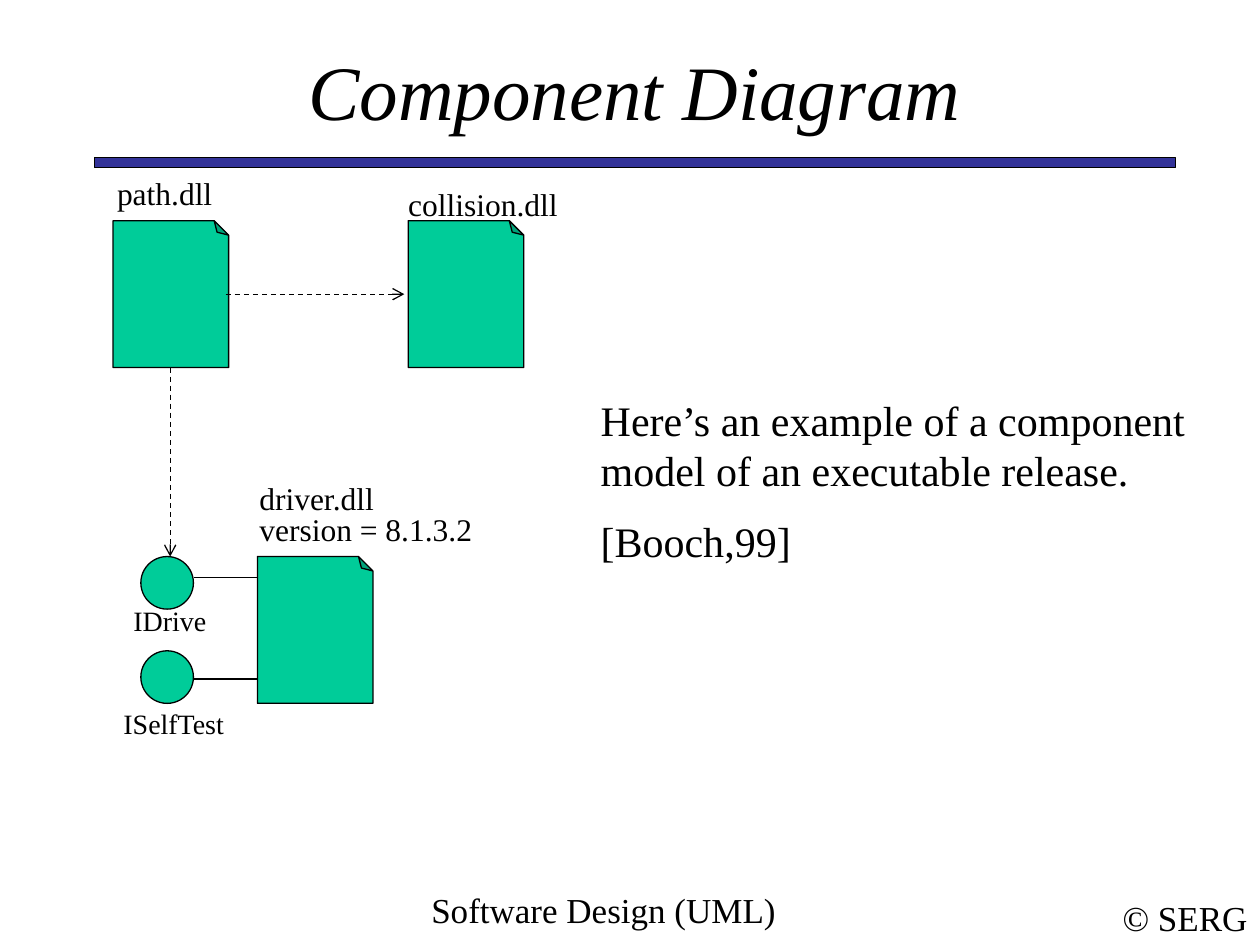
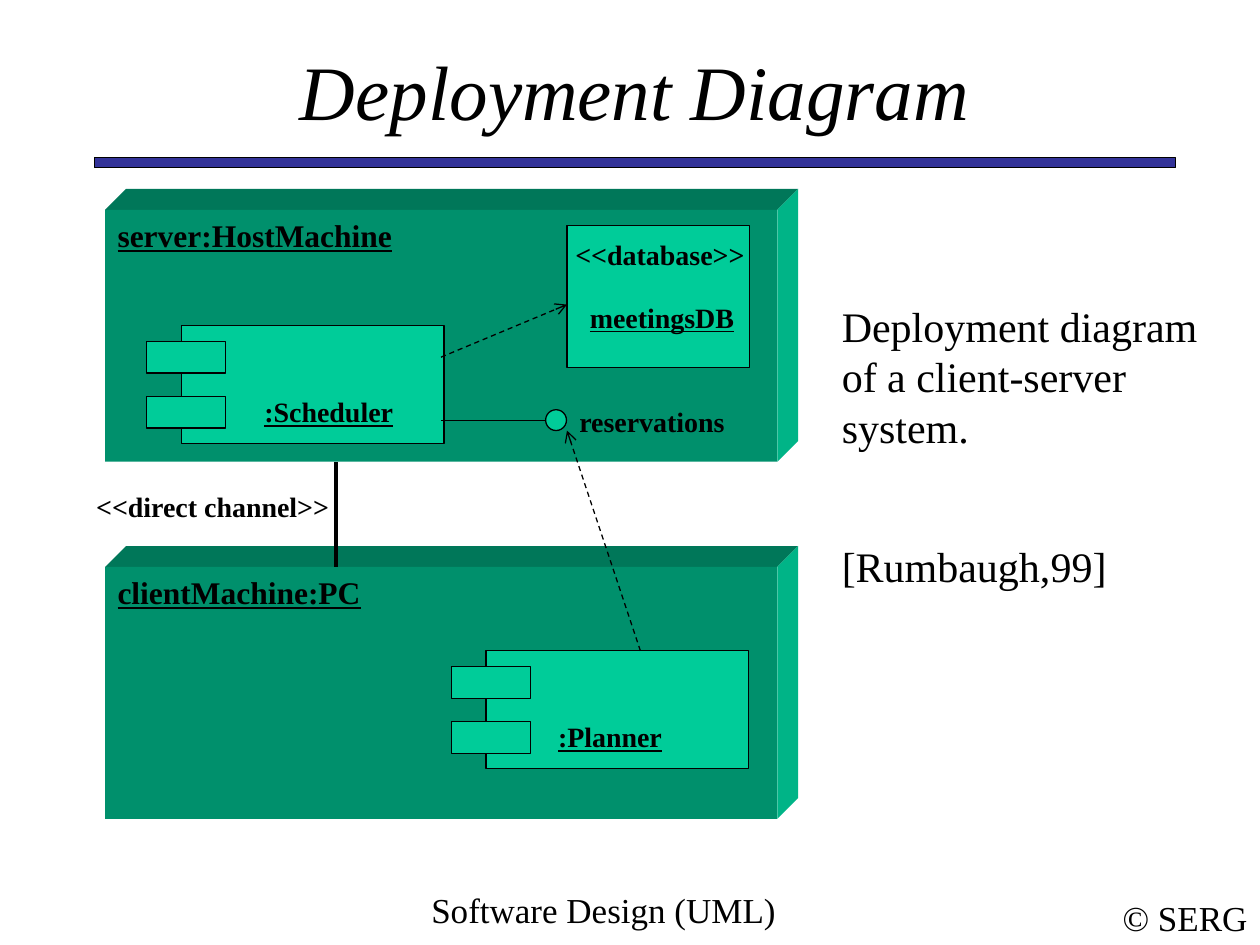
from lxml import etree
from pptx import Presentation
from pptx import util as u
from pptx.dml.color import RGBColor
from pptx.enum import dml, shapes, text
from pptx.oxml import ns

INK, GREEN, BAND = "000000", "00CC99", "333399"
FRONT, TOP, SIDE = "00906C", "007759", "00B487"
FONT = "Times New Roman"
KIND = shapes.MSO_SHAPE
CENTER, LEFT = text.PP_ALIGN.CENTER, text.PP_ALIGN.LEFT


def color(value):
    return RGBColor.from_string(value)


class Deck:
    def __init__(self):
        self.show = Presentation()
        self.show.slide_width, self.show.slide_height = u.Cm(25.4), u.Cm(19.05)
        self.slide = None

    def page(self, title):
        self.slide = self.show.slides.add_slide(self.show.slide_layouts[6])
        self.label("© SERG", 22.38, 17.96, 3.02, 20, height=1.09, align=CENTER,
                   wrap=False, middle=True)
        self.shape(KIND.RECTANGLE, 1.9, 3.18, 21.8, 0.2, BAND)
        self.label("Software Design (UML)", 6.56, 17.78, 11.22, 20,
                   height=1.27, align=CENTER)
        self.label(title, 1.9, 1.06, 21.8, 44, height=1.48, align=CENTER,
                   middle=True, italic=True)

    def label(self, words, left, top, width, size=18, height=1.0, align=LEFT,
              wrap=True, middle=False, bold=False, italic=False,
              underline=False, gap=12):
        box = self.slide.shapes.add_textbox(
            u.Cm(left), u.Cm(top), u.Cm(width), u.Cm(height))
        frame = box.text_frame
        frame.word_wrap = wrap
        frame.text = words
        frame.vertical_anchor = (text.MSO_ANCHOR.MIDDLE if middle
                                 else text.MSO_ANCHOR.TOP)
        for index, paragraph in enumerate(frame.paragraphs):
            paragraph.alignment = align
            if index:
                paragraph.space_before = u.Pt(gap)
            font = paragraph.font
            font.name, font.size = FONT, u.Pt(size)
            font.bold, font.italic, font.underline = bold, italic, underline
            font.color.rgb = color(INK)

    def paint(self, item, fill, outlined=True):
        item.shadow.inherit = False
        item.fill.solid()
        item.fill.fore_color.rgb = color(fill)
        if outlined:
            item.line.color.rgb = color(INK)
            item.line.width = u.Pt(0.75)
        else:
            item.line.fill.background()

    def shape(self, kind, left, top, width, height, fill=GREEN, outlined=True):
        item = self.slide.shapes.add_shape(
            kind, u.Cm(left), u.Cm(top), u.Cm(width), u.Cm(height))
        self.paint(item, fill, outlined)
        return item

    def circle(self, left, top, size):
        self.shape(KIND.OVAL, left, top, size, size)

    def document(self, left, top):
        sheet = self.shape(KIND.FOLDED_CORNER, left, top, 2.33, 2.96)
        outline = sheet.element.spPr
        outline.find(ns.qn("a:xfrm")).set("flipV", "1")
        guides = outline.find(ns.qn("a:prstGeom")).find(ns.qn("a:avLst"))
        etree.SubElement(guides, ns.qn("a:gd"), name="adj", fmla="val 12500")

    def component(self, left, top):
        self.shape(KIND.RECTANGLE, left, top, 5.29, 2.38)
        for drop in (0.32, 1.43):
            self.shape(KIND.RECTANGLE, left - 0.7, top + drop, 1.59, 0.64)

    def face(self, corners, fill):
        points = [(u.Cm(x), u.Cm(y)) for x, y in corners]
        builder = self.slide.shapes.build_freeform(*points[0], scale=1.0)
        builder.add_line_segments(points[1:], close=True)
        self.paint(builder.convert_to_shape(), fill, outlined=False)

    def node(self, left, top, width=13.55, height=5.08, depth=0.42):
        right, bottom = left + width, top + height
        self.face([(left, top), (left + depth, top - depth),
                   (right + depth, top - depth), (right, top)], TOP)
        self.face([(right, top), (right + depth, top - depth),
                   (right + depth, bottom - depth), (right, bottom)], SIDE)
        self.shape(KIND.RECTANGLE, left, top, width, height, FRONT, False)

    def line(self, start, end, width=0.75, arrow=False):
        link = self.slide.shapes.add_connector(
            shapes.MSO_CONNECTOR.STRAIGHT, *map(u.Cm, start + end))
        link.line.color.rgb = color(INK)
        link.line.width = u.Pt(width)
        outline = link.element.spPr
        if arrow:
            link.line.dash_style = dml.MSO_LINE.DASH
            etree.SubElement(outline.find(ns.qn("a:ln")), ns.qn("a:tailEnd"),
                             type="arrow")
        etree.SubElement(outline, ns.qn("a:effectLst"))


deck = Deck()

deck.page("Component Diagram")
for left, top in ((5.19, 11.22), (8.23, 4.45), (2.28, 4.45)):
    deck.document(left, top)
for top, joint in ((11.22, 11.64), (13.12, 13.69)):
    deck.circle(2.84, top, 1.06)
    deck.line((3.91, joint), (5.19, joint))
deck.line((3.43, 7.41), (3.43, 11.22), arrow=True)
deck.line((4.55, 5.93), (8.15, 5.93), arrow=True)
deck.label("collision.dll", 7.98, 3.61, 4.45)
deck.label("driver.dll", 4.98, 9.53, 3.39)
deck.label("version = 8.1.3.2", 4.98, 10.16, 6.35)
deck.label("path.dll", 2.11, 3.38, 3.39)
deck.label("IDrive", 2.44, 12.04, 2.74, 16)
deck.label("ISelfTest", 2.24, 14.12, 2.59, 16, wrap=False)
deck.label("Here’s an example of a component model of an executable release.\n"
           "[Booch,99]", 11.86, 7.82, 12.5, 24, height=3.81)

deck.page("Deployment Diagram")
for name, top in (("clientMachine:PC", 11.43), ("server:HostMachine", 4.23)):
    deck.node(2.12, top)
    deck.label(name, 2.12, top, 7.2, bold=True, underline=True)
deck.component(9.8, 13.12)
deck.component(3.66, 6.56)
deck.shape(KIND.RECTANGLE, 11.43, 4.55, 3.68, 2.86)
deck.line((6.77, 9.31), (6.77, 11.43), width=2.25)
deck.circle(11, 8.26, 0.42)
deck.line((11, 8.47), (8.89, 8.47))
for name, left, top, width in (("reservations", 11.43, 8.04, 5.5),
                               ("<<database>>", 11.35, 4.66, 4.45),
                               ("<<direct channel>>", 1.69, 9.74, 5.5)):
    deck.label(name, left, top, width, 16, bold=True)
for name, left, top, width in (("meetingsDB", 11.64, 5.93, 4.02),
                               (":Scheduler", 5.08, 7.83, 3.18),
                               (":Planner", 11, 14.39, 3.18)):
    deck.label(name, left, top, width, 16, bold=True, underline=True)
deck.line((8.89, 7.2), (11.43, 6.14), arrow=True)
deck.line((12.91, 13.12), (11.43, 8.68), arrow=True)
deck.label("Deployment diagram of a client-server system.\n[Rumbaugh,99]",
           16.72, 5.93, 7.83, 24, height=6.35, gap=51)

deck.show.save("out.pptx")
